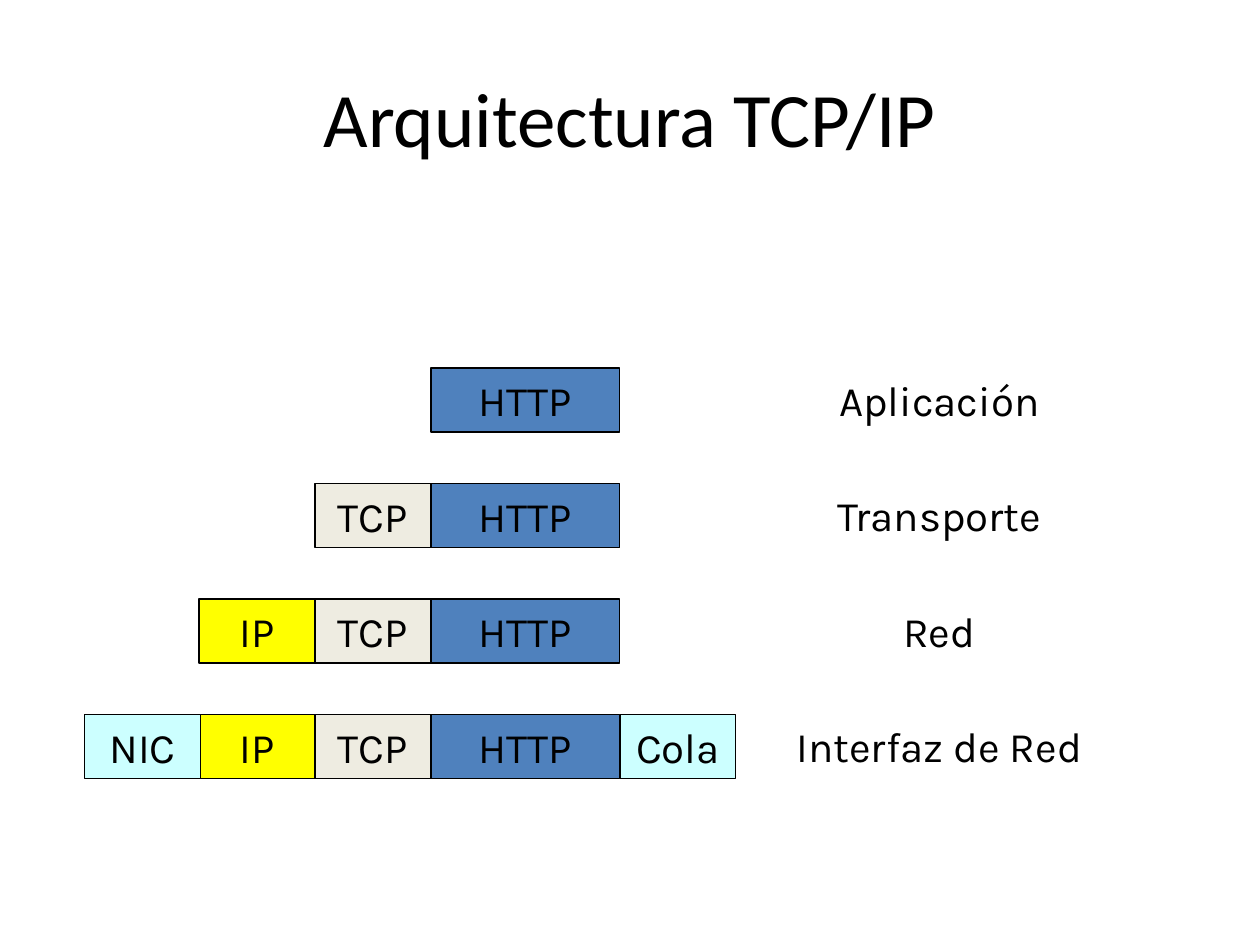
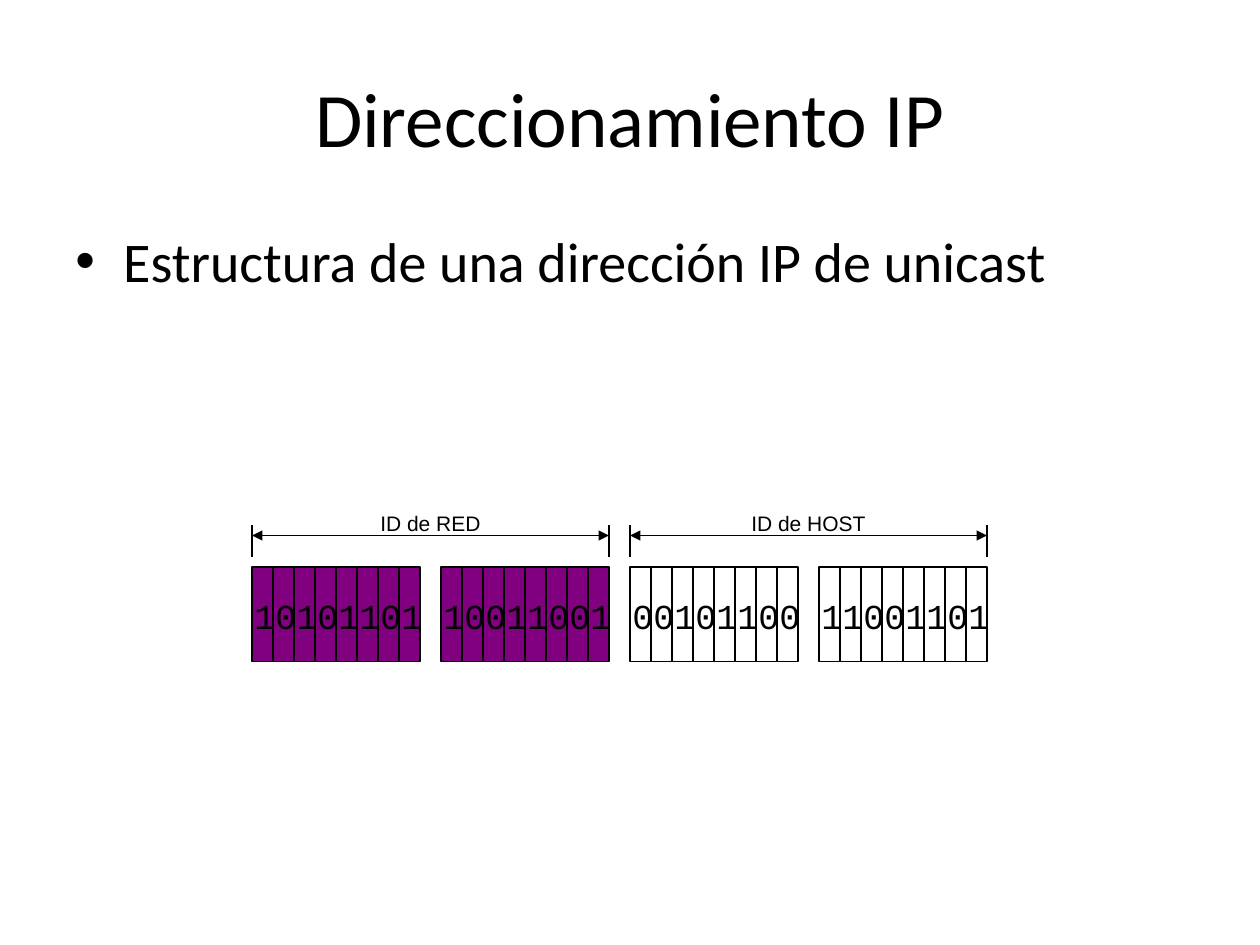
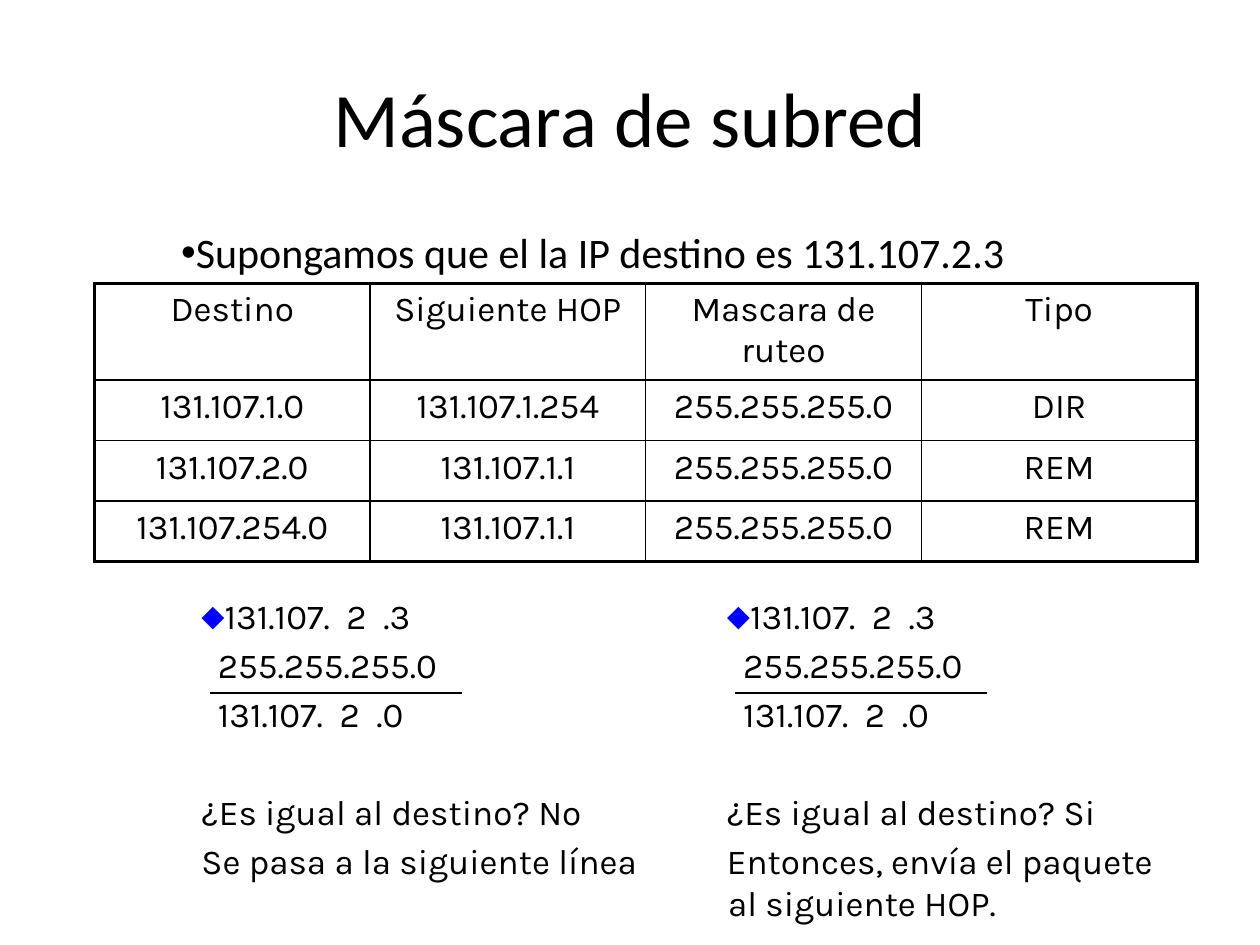
from dataclasses import dataclass

from lxml.etree import SubElement
from pptx import Presentation
from pptx.dml.color import RGBColor
from pptx.enum.shapes import MSO_CONNECTOR, MSO_SHAPE
from pptx.enum.text import MSO_ANCHOR, PP_ALIGN
from pptx.oxml.ns import qn
from pptx.util import Inches, Pt


@dataclass(frozen=True)
class Theme:
    ink: str = "000000"
    marker: str = "0000FF"
    network: str = "800080"
    heading: str = "Calibri"
    label: str = "Karla"
    code: str = "Courier New"
    caption: str = "Arial"
    title_size: int = 44
    body_size: int = 32
    layer_size: int = 24
    table_size: int = 20
    caption_size: int = 12
    thin: float = 0.75
    inner: float = 1
    outer: float = 2.25


THEME = Theme()

# Content: encapsulation, one header more per layer
PARTS = {  # name: (left, width, fill)
    "NIC": (0.67, 0.92, "CCFFFF"),
    "IP": (1.58, 0.92, "FFFF00"),
    "TCP": (2.5, 0.92, "EEECE1"),
    "HTTP": (3.42, 1.5, "4F81BD"),
    "Cola": (4.92, 0.92, "CCFFFF"),
}
LAYERS = [
    ("Aplicación", ["HTTP"]),
    ("Transporte", ["TCP", "HTTP"]),
    ("Red", ["IP", "TCP", "HTTP"]),
    ("Interfaz de Red", ["NIC", "IP", "TCP", "HTTP", "Cola"]),
]

# Content: address structure
ADDRESS_POINT = "Estructura de una dirección IP de unicast"
ADDRESS_FIELDS = [  # label, octets, fill
    ("ID de RED", ["10101101", "10011001"], THEME.network),
    ("ID de HOST", ["00101100", "11001101"], None),
]

# Content: routing table and mask checks
MASK_POINT = "Supongamos que el la IP destino es 131.107.2.3"
ROUTES = [
    ("Destino", "Siguiente HOP", "Mascara de ruteo", "Tipo"),
    ("131.107.1.0", "131.107.1.254", "255.255.255.0", "DIR"),
    ("131.107.2.0", "131.107.1.1", "255.255.255.0", "REM"),
    ("131.107.254.0", "131.107.1.1", "255.255.255.0", "REM"),
]
MASK_STEPS = ["131.107.  2  .3", "255.255.255.0", "131.107.  2  .0"]
CHECKS = [  # box left, rule left, conclusion
    (1.08, 1.67, ["¿Es igual al destino? No", "Se pasa a la siguiente línea"]),
    (5.25, 5.83, ["¿Es igual al destino? Si",
                  "Entonces, envía el paquete al siguiente HOP."]),
]


def color(value):
    return RGBColor.from_string(value)


def write(para, text, font, size, align=PP_ALIGN.LEFT):
    para.alignment = align
    span = para.add_run()
    span.text = text
    span.font.name = font
    span.font.size = Pt(size)
    span.font.bold = False
    span.font.color.rgb = color(THEME.ink)


def set_indent(para, margin, indent):
    props = para._p.get_or_add_pPr()
    props.set("marL", str(Inches(margin)))
    props.set("indent", str(Inches(indent)))


def set_bullet(para, char, fill=None, percent=100):
    props = para._p.get_or_add_pPr()
    if fill:
        SubElement(SubElement(props, qn("a:buClr")), qn("a:srgbClr"), val=fill)
    SubElement(props, qn("a:buSzPct"), val=str(percent * 1000))
    SubElement(props, qn("a:buFont"), typeface="Arial")
    SubElement(props, qn("a:buChar"), char=char)


def add_frame(page, left, top, width, height, wrap=True):
    box = page.shapes.add_textbox(
        Inches(left), Inches(top), Inches(width), Inches(height))
    box.text_frame.word_wrap = wrap
    return box.text_frame


def add_block(shapes, left, top, width, height, fill):
    block = shapes.add_shape(
        MSO_SHAPE.RECTANGLE,
        Inches(left), Inches(top), Inches(width), Inches(height))
    block.shadow.inherit = False
    if fill:
        block.fill.solid()
        block.fill.fore_color.rgb = color(fill)
    else:
        block.fill.background()
    block.line.color.rgb = color(THEME.ink)
    block.line.width = Pt(THEME.thin)
    return block


def add_rule(page, x1, y1, x2, y2, arrows=False):
    rule = page.shapes.add_connector(
        MSO_CONNECTOR.STRAIGHT, Inches(x1), Inches(y1), Inches(x2), Inches(y2))
    rule.line.color.rgb = color(THEME.ink)
    rule.line.width = Pt(THEME.thin)
    if arrows:
        for end in ("a:headEnd", "a:tailEnd"):
            SubElement(rule.line._get_or_add_ln(), qn(end), type="triangle")
    SubElement(rule._element.spPr, qn("a:effectLst"))


def add_page(deck, title):
    page = deck.slides.add_slide(deck.slide_layouts[6])
    frame = add_frame(page, 0.5, 0.3, 9, 1.25)
    frame.vertical_anchor = MSO_ANCHOR.MIDDLE
    write(frame.paragraphs[0], title, THEME.heading, THEME.title_size,
          PP_ALIGN.CENTER)
    return page


def add_point(page, text, size, area, margin, indent):
    para = add_frame(page, *area).paragraphs[0]
    set_indent(para, margin, indent)
    set_bullet(para, "•")
    write(para, text, THEME.heading, size)


def set_borders(cell, widths):
    props = cell._tc.get_or_add_tcPr()
    for place, (side, width) in enumerate(widths.items()):
        line = SubElement(props, qn(f"a:ln{side}"), w=str(Pt(width)))
        SubElement(SubElement(line, qn("a:solidFill")), qn("a:srgbClr"),
                   val=THEME.ink)
        props.insert(place, line)  # borders come before the fill


def build_layers(deck):
    page = add_page(deck, "Arquitectura TCP/IP")
    first_top, pitch = 2.92, 11 / 12
    for index, (layer, parts) in enumerate(LAYERS):
        top = first_top + index * pitch
        for name in reversed(parts):
            left, width, fill = PARTS[name]
            frame = add_block(page.shapes, left, top, width, 0.51, fill).text_frame
            write(frame.paragraphs[0], name, THEME.label, THEME.layer_size,
                  PP_ALIGN.CENTER)
        frame = add_frame(page, 6.08, top, 2.75, 0.5)
        write(frame.paragraphs[0], layer, THEME.label, THEME.layer_size,
              PP_ALIGN.CENTER)


def build_address(deck):
    page = add_page(deck, "Direccionamiento IP")
    add_point(page, ADDRESS_POINT, THEME.body_size, (0.5, 1.75, 9, 4.95),
              0.38, -0.38)
    start, bit, octet_pitch = 2, 1 / 6, 1.5
    field_pitch, field_width = 2 * octet_pitch, octet_pitch + 8 * bit
    for field, (label, octets, fill) in enumerate(ADDRESS_FIELDS):
        left = start + field * field_pitch
        # Octets: eight cells with the digits over them
        for number, digits in enumerate(octets):
            octet_left = left + number * octet_pitch
            cells = page.shapes.add_group_shape().shapes
            for place in range(len(digits)):
                add_block(cells, octet_left + place * bit, 4.5, bit, 0.75, fill)
            frame = add_frame(page, octet_left - 0.08, 4.67, 1.58, 0.43)
            write(frame.paragraphs[0], digits, THEME.code, THEME.table_size)
        # Dimension line with its label centred over it
        right = left + field_width
        for x in (left, right):
            add_rule(page, x, 4.17, x, 4.42)
        add_rule(page, left, 4.25, right, 4.25, arrows=True)
        frame = add_frame(page, left, 4, field_width, 0.3)
        write(frame.paragraphs[0], label, THEME.caption, THEME.caption_size,
              PP_ALIGN.CENTER)


def add_routes(page):
    rows, columns = len(ROUTES), len(ROUTES[0])
    table = page.shapes.add_table(
        rows, columns, Inches(0.75), Inches(2.25), Inches(8.75), Inches(2.2)).table
    table.first_row = table.horz_banding = False
    for r, route in enumerate(ROUTES):
        table.rows[r].height = Inches(0.48 if r else 0.75)
        for c, text in enumerate(route):
            cell = table.cell(r, c)
            cell.fill.background()
            write(cell.text_frame.paragraphs[0], text, THEME.label,
                  THEME.table_size, PP_ALIGN.CENTER)
            edges = {"L": c == 0, "R": c == columns - 1,
                     "T": r == 0, "B": r == rows - 1}
            set_borders(cell, {side: THEME.outer if edge else THEME.inner
                               for side, edge in edges.items()})


def build_mask(deck):
    page = add_page(deck, "Máscara de subred")
    add_point(page, MASK_POINT, THEME.layer_size, (0.92, 1.75, 8.5, 4.5),
              0.43, -0.01)
    add_routes(page)
    for left, rule_left, conclusion in CHECKS:
        frame = add_frame(page, left, 4.67, 4.08, 2.42)
        for index, text in enumerate(MASK_STEPS + conclusion):
            para = frame.add_paragraph() if index else frame.paragraphs[0]
            operand = 0 < index < len(MASK_STEPS)
            set_indent(para, 0.56 if operand else 0.43, -0.01)
            if index == 0:
                set_bullet(para, "⬥", THEME.marker, 95)
            else:
                para.space_before = Pt(32 if index == len(MASK_STEPS) else 4)
            write(para, text, THEME.label, THEME.table_size)
        add_rule(page, rule_left, 5.5, rule_left + 2, 5.5)


def main():
    deck = Presentation()
    deck.slide_width, deck.slide_height = Inches(10), Inches(7.5)
    build_layers(deck)
    build_address(deck)
    build_mask(deck)
    deck.save("out.pptx")


if __name__ == "__main__":
    main()
